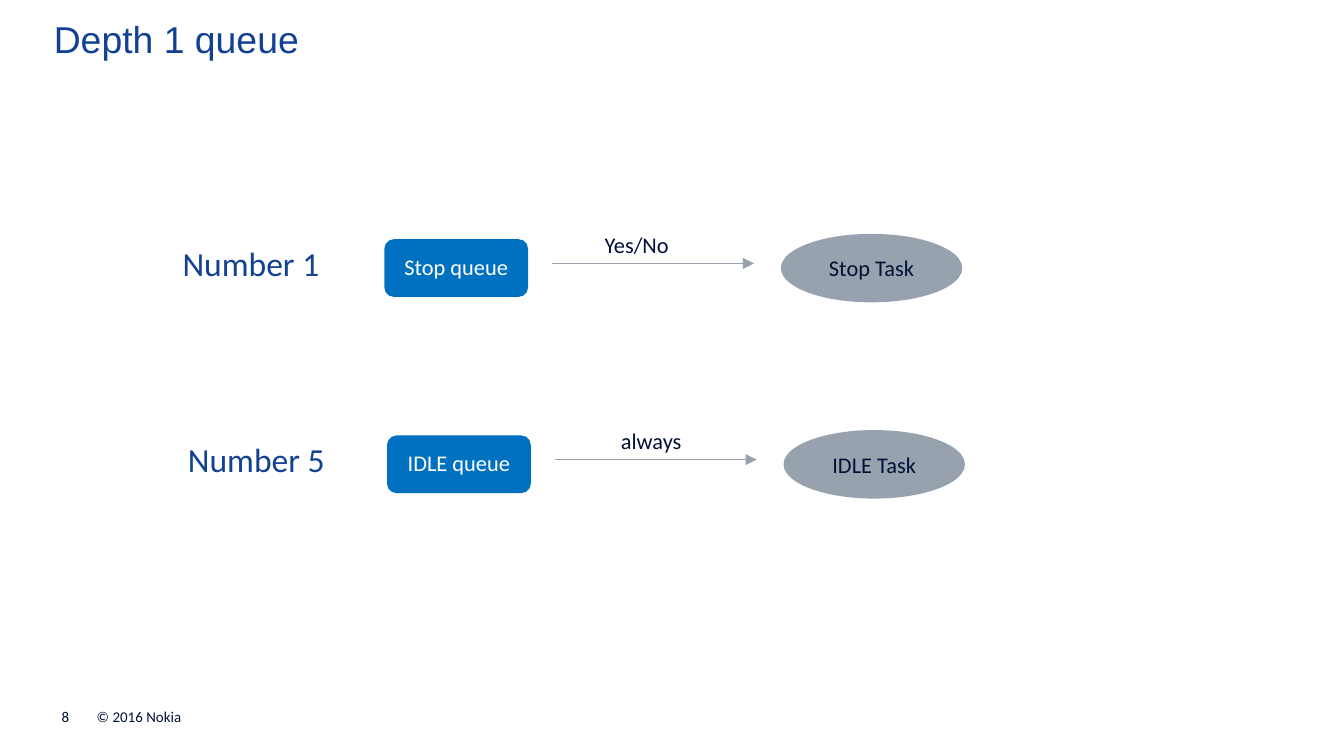
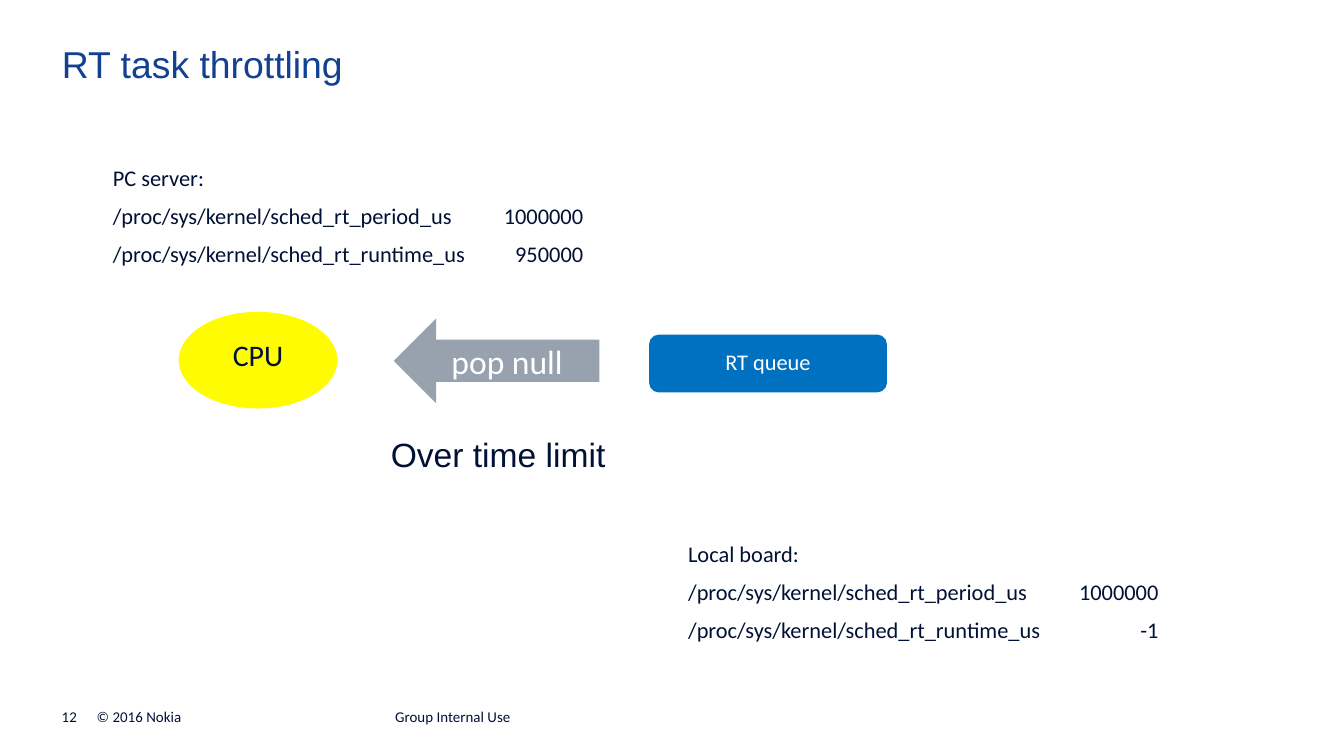
from lxml.etree import SubElement
from pptx import Presentation
from pptx.dml.color import RGBColor
from pptx.enum.shapes import MSO_CONNECTOR, MSO_SHAPE as Preset
from pptx.enum.text import MSO_ANCHOR as Anchor, MSO_AUTO_SIZE as AutoSize, PP_ALIGN as Align
from pptx.oxml.ns import qn
from pptx.util import Pt

PX = 9144  # 100 px to the inch
COLORS = {
    "title": "124191",
    "text": "001135",
    "queue": "0070C0",
    "grey": "98A2AE",
    "cpu": "FFFB00",
    "white": "FFFFFF",
}
BODY, HEADING = "Calibri", "Arial"
VALUE_TAB = 350  # right edge of the setting values


def px(*lengths):
    return [length * PX for length in lengths]


def rgb(name):
    return RGBColor.from_string(COLORS[name])


def write(frame, lines, size, color="text", font=BODY, inset=(8, 8),
          anchor=Anchor.TOP, align=None, after=None, tab=None):
    """Fill a text frame with equally styled paragraphs."""
    frame.margin_left = frame.margin_right = inset[0] * PX
    frame.margin_top = frame.margin_bottom = inset[1] * PX
    frame.vertical_anchor = anchor
    frame.text = "\n".join(lines)
    for paragraph in frame.paragraphs:
        if tab:
            tabs = SubElement(paragraph._p.get_or_add_pPr(), qn("a:tabLst"))
            SubElement(tabs, qn("a:tab"), pos=str(tab * PX), algn="r")
        if align is not None:
            paragraph.alignment = align
        if after:
            paragraph.space_after = Pt(after)
        paragraph.font.size = Pt(size)
        paragraph.font.name = font
        paragraph.font.color.rgb = rgb(color)


def add_text(slide, box, lines, size, wrap=True, grow=True, **style):
    frame = slide.shapes.add_textbox(*px(*box)).text_frame
    write(frame, lines, size, **style)
    frame.word_wrap = wrap
    frame.auto_size = AutoSize.SHAPE_TO_FIT_TEXT if grow else AutoSize.NONE


def add_block(slide, preset, box, label, fill, size=12, **style):
    block = slide.shapes.add_shape(preset, *px(*box))
    block.shadow.inherit = False
    block.fill.solid()
    block.fill.fore_color.rgb = rgb(fill)
    block.line.fill.background()
    write(block.text_frame, [label], size, align=Align.CENTER, **style)


def add_queue(slide, left, top, width, label):
    add_block(slide, Preset.ROUNDED_RECTANGLE, (left, top, width, 43),
              label, "queue", color="white")


def add_arrow(slide, left, right, y):
    arrow = slide.shapes.add_connector(MSO_CONNECTOR.STRAIGHT, *px(left, y, right, y))
    arrow.line.color.rgb = rgb("grey")
    arrow.line.width = Pt(0.75)
    SubElement(arrow.line._get_or_add_ln(), qn("a:tailEnd"), type="triangle")
    SubElement(arrow._element.spPr, qn("a:effectLst"))


def add_heading(slide, left, top, width, label, **style):
    add_text(slide, (left, top, width, 40), [label], 18, wrap=False, inset=(10, 5), **style)


def add_footer(slide, left, width, label, grow=True):
    add_text(slide, (left, 527, width, 13), [label], 8, grow=grow,
             inset=(0, 0), anchor=Anchor.BOTTOM)


def new_slide(deck, number, title, left, top):
    """Start a slide with the shared footer and title style."""
    slide = deck.slides.add_slide(deck.slide_layouts[6])
    add_footer(slide, 72, 197, "© 2016 Nokia")
    add_footer(slide, 46, 16, number)
    add_text(slide, (left, top, 909, 34), [title], 20, grow=False,
             color="title", font=HEADING, inset=(0, 0))
    return slide


def add_queue_row(slide, left, top, name, number, number_left, condition, condition_left):
    """One row: number, queue, conditional arrow, task."""
    add_queue(slide, left, top, 107, f"{name} queue")
    add_arrow(slide, left + 125, left + 275, top + 18)
    add_block(slide, Preset.OVAL, (left + 295, top - 4, 135, 51), f"{name} Task", "grey")
    add_text(slide, (condition_left, top - 14, 87, 36), [condition], 12, after=6)
    add_heading(slide, number_left, top - 2, 132, f"Number {number}", color="title")


def add_settings(slide, left, top, machine, period, runtime):
    folder = "/proc/sys/kernel/"
    lines = [f"{machine}:",
             f"{folder}sched_rt_period_us\t{period}",
             f"{folder}sched_rt_runtime_us\t{runtime}"]
    add_text(slide, (left, top, 471, 93), lines, 12, after=6, tab=VALUE_TAB)


def build_depth_slide(deck):
    slide = new_slide(deck, "8", "Depth 1 queue", 40, 12)
    add_queue_row(slide, 286, 178, "Stop", 1, 126, "Yes/No", 442)
    add_queue_row(slide, 288, 324, "IDLE", 5, 130, "always", 454)


def build_throttling_slide(deck):
    slide = new_slide(deck, "12", "RT task throttling", 46, 31)
    add_footer(slide, 294, 282, "Group Internal Use", grow=False)

    # Kernel settings
    add_settings(slide, 504, 394, "Local board", "1000000", "-1")
    add_settings(slide, 76, 114, "PC server", "1000000", "950000")

    # Queue to CPU flow
    add_queue(slide, 483, 249, 177, "RT queue")
    add_heading(slide, 281, 318, 181, "Over time limit", font=HEADING)
    add_block(slide, Preset.OVAL, (133, 232, 118, 72), "CPU", "cpu", size=16)
    add_block(slide, Preset.LEFT_ARROW, (293, 237, 153, 63), "pop null", "grey", size=18,
              color="white", inset=(10, 5), anchor=Anchor.MIDDLE)


def main():
    deck = Presentation()
    deck.slide_width = 1000 * PX
    deck.slide_height = deck.slide_width * 9 // 16  # widescreen
    build_depth_slide(deck)
    build_throttling_slide(deck)
    deck.save("out.pptx")


if __name__ == "__main__":
    main()
